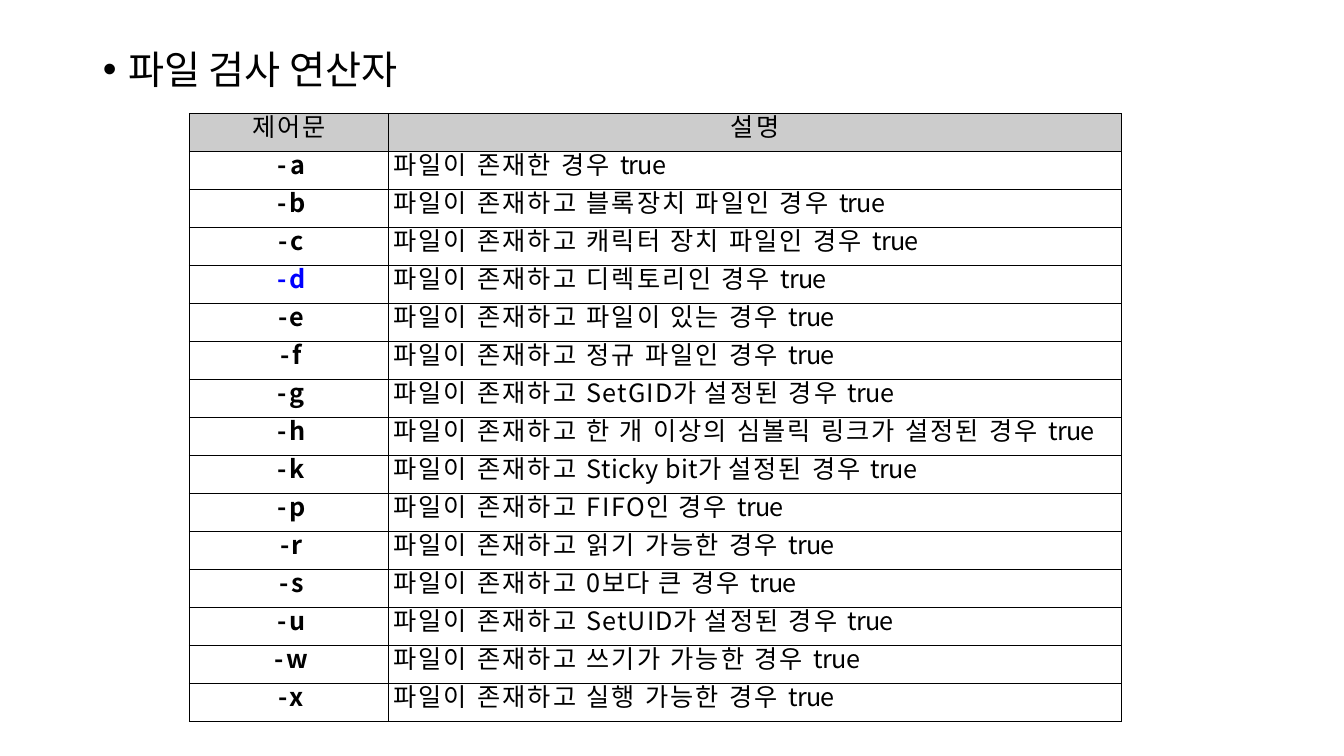
from pptx import Presentation
from pptx.dml.color import RGBColor
from pptx.enum.text import MSO_ANCHOR, PP_ALIGN as Align
from pptx.oxml.ns import qn
from pptx.util import Inches, Pt
from lxml.etree import SubElement

# Content: option, its letter spacing, description runs with letter spacing
HEADING = "파일 검사 연산자"
HEADERS = ["제어문", "설명"]
WIDE = 1.6
EXISTS = ("파일이 존재하고 ", WIDE)
IS_SET = ("설정된 경우 ", WIDE)
TRUE = ("true", -0.5)
OPERATORS = [
    ("-a", 2.2, [("파일이 존재한 경우 ", WIDE)]),
    ("-b", 1.9, [("파일이 존재하고 블록장치 파일인 경우 ", WIDE)]),
    ("-c", 2.2, [("파일이 존재하고 캐릭터 장치 파일인 경우 ", WIDE)]),
    ("-d", 1.9, [("파일이 존재하고 디렉토리인 경우 ", WIDE)]),
    ("-e", 1.8, [("파일이 존재하고 파일이 있는 경우 ", WIDE)]),
    ("-f", 1.6, [("파일이 존재하고 정규 파일인 경우 ", WIDE)]),
    ("-g", 1.9, [EXISTS, ("SetGID가 ", 0.8), IS_SET]),
    ("-h", 1.6, [("파일이 존재하고 한 개 이상의 심볼릭 링크가 설정된 경우 ", WIDE)]),
    ("-k", 1.6, [EXISTS, ("Sticky ", 0.2), ("bit가 ", 0.3), IS_SET]),
    ("-p", 1.9, [EXISTS, ("FIFO인 ", 1.1), ("경우 ", WIDE)]),
    ("-r", 1.1, [("파일이 존재하고 읽기 가능한 경우 ", WIDE)]),
    ("-s", 1.9, [EXISTS, ("0보다 ", 1), ("큰 경우 ", WIDE)]),
    ("-u", 1.6, [EXISTS, ("SetUID가 ", 0.7), IS_SET]),
    ("-w", 1.5, [("파일이 존재하고 쓰기가 가능한 경우 ", WIDE)]),
    ("-x", 1.6, [("파일이 존재하고 실행 가능한 경우 ", WIDE)]),
]
HIGHLIGHTED = "-d"

FONT = "Noto Sans CJK KR"
BLACK = RGBColor(0x00, 0x00, 0x00)
BLUE = RGBColor(0x00, 0x00, 0xFF)
GREY = RGBColor(0xCC, 0xCC, 0xCC)

COLUMN_WIDTHS = [1.97, 7.27]
TABLE_HEIGHT = 6.03


def add_run(paragraph, text, size, spacing=0, bold=False, color=BLACK):
    run = paragraph.add_run()
    run.text = text
    run.font.size = Pt(size)
    run.font.bold = bold
    run.font.color.rgb = color
    run.font.name = FONT
    properties = run.font._element
    SubElement(properties, qn("a:ea"), typeface=FONT)
    if spacing:
        properties.set("spc", str(round(spacing * 100)))


def set_indent(paragraph, left, first=0):
    properties = paragraph._p.get_or_add_pPr()
    properties.set("marL", str(Inches(left)))
    properties.set("indent", str(Inches(first)))
    return properties


def add_borders(cell):
    properties = cell._tc.get_or_add_tcPr()
    for side in ("lnL", "lnR", "lnT", "lnB"):
        line = SubElement(properties, qn(f"a:{side}"), w=str(Pt(1)))
        fill = SubElement(line, qn("a:solidFill"))
        SubElement(fill, qn("a:srgbClr"), val=str(BLACK))


def fill_cell(cell, runs, align, indent, bold=False, color=BLACK, background=None):
    cell.margin_left = cell.margin_right = cell.margin_top = cell.margin_bottom = 0
    cell.vertical_anchor = MSO_ANCHOR.TOP
    add_borders(cell)
    if background is None:
        cell.fill.background()
    else:
        cell.fill.solid()
        cell.fill.fore_color.rgb = background
    paragraph = cell.text_frame.paragraphs[0]
    paragraph.alignment = align
    paragraph.line_spacing = Pt(21.4)
    set_indent(paragraph, indent)
    for text, spacing in runs:
        add_run(paragraph, text, 18, spacing, bold, color)


prs = Presentation()
prs.slide_width, prs.slide_height = Inches(13.33), Inches(7.5)
slide = prs.slides.add_slide(prs.slide_layouts[1])

# The slide has a body heading but no title
title = slide.shapes.title
title._element.getparent().remove(title._element)

# Bulleted heading
body = slide.placeholders[1]
body.left, body.top = Inches(0.92), Inches(0.45)
body.width, body.height = Inches(11.5), Inches(6.31)
heading = body.text_frame.paragraphs[0]
heading.line_spacing = 0.9
heading.space_before = Pt(10)
bullet_properties = set_indent(heading, 0.25, -0.25)
SubElement(bullet_properties, qn("a:buFont"), typeface="Arial")
SubElement(bullet_properties, qn("a:buChar"), char="•")
add_run(heading, HEADING, 28)

# Operator table
row_count = len(OPERATORS) + 1
table = slide.shapes.add_table(
    row_count, len(HEADERS), Inches(1.88), Inches(1.13),
    Inches(sum(COLUMN_WIDTHS)), Inches(TABLE_HEIGHT)).table
table.first_row = table.horz_banding = False
for column, width in zip(table.columns, COLUMN_WIDTHS):
    column.width = Inches(width)
for row in table.rows:
    row.height = Inches(TABLE_HEIGHT / row_count)

# Header row
header_layout = [(Align.LEFT, 0.62), (Align.CENTER, 0.01)]
for index, (header, (align, indent)) in enumerate(zip(HEADERS, header_layout)):
    fill_cell(table.cell(0, index), [(header, WIDE)], align, indent, background=GREY)

# Operator rows
for row, (option, spacing, description) in enumerate(OPERATORS, start=1):
    color = BLUE if option == HIGHLIGHTED else BLACK
    fill_cell(table.cell(row, 0), [(option, spacing)], Align.CENTER, 0.05, True, color)
    fill_cell(table.cell(row, 1), description + [TRUE], Align.LEFT, 0.05)

prs.save("out.pptx")
